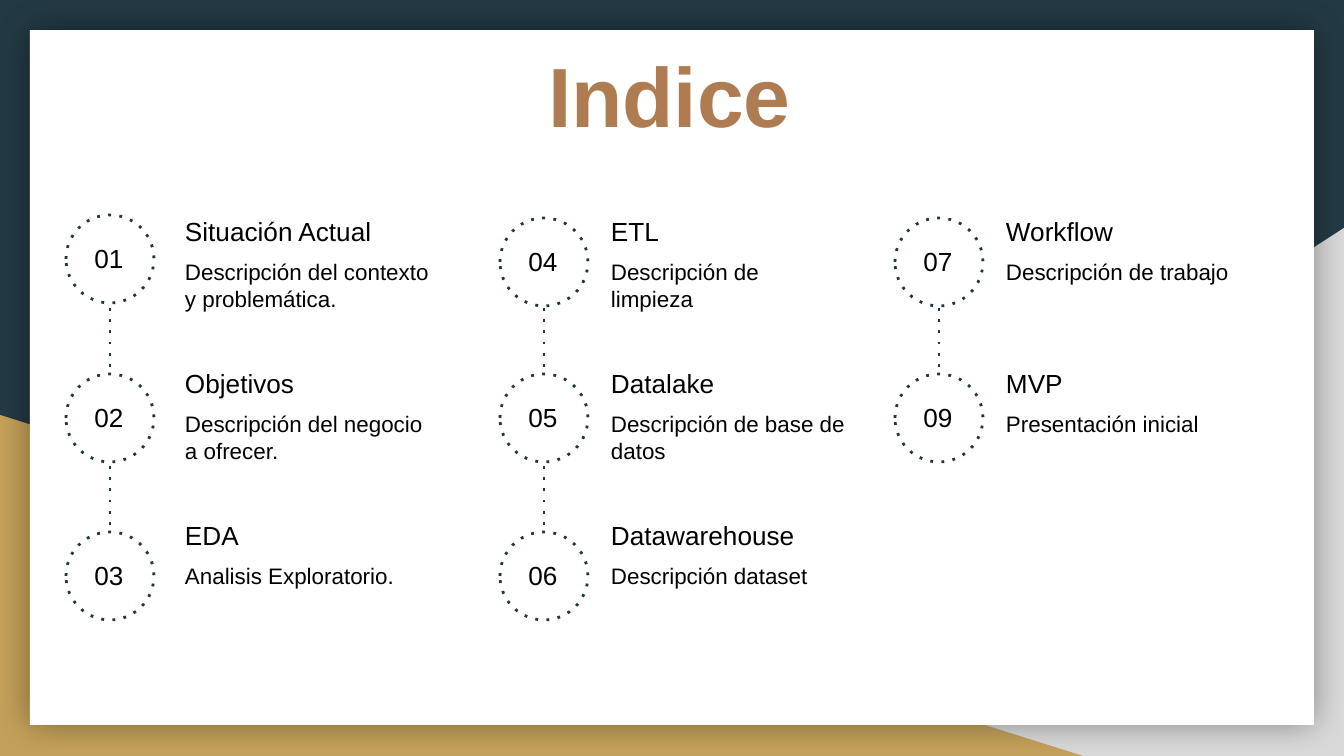
import pptx
import pptx.util
import pptx.dml.color
import pptx.enum.shapes
import pptx.enum.text
import pptx.oxml
import pptx.oxml.ns

RGB = pptx.dml.color.RGBColor
NAVY, GOLD, GRAY = RGB(0x23, 0x3A, 0x44), RGB(0xC4, 0xA1, 0x5A), RGB(0xD9, 0xD9, 0xD9)
WHITE, BLACK = RGB(0xFF, 0xFF, 0xFF), RGB(0, 0, 0)
BROWN, DOTS = RGB(0xAF, 0x7B, 0x51), RGB(0x20, 0x35, 0x3E)
SHAPE = pptx.enum.shapes.MSO_SHAPE
ALIGN, ANCHOR = pptx.enum.text.PP_ALIGN, pptx.enum.text.MSO_ANCHOR
EMU_PER_PX = 914400 / 134.4
INSET = 13
CIRCLE = 88

# Each column: circle left, text left, circle tops, entries
# Each entry: number, heading, description, description width
COLUMNS = [
    (66, 172, (215, 374, 532), [
        ("01", "Situación Actual", "Descripción del contexto y problemática.", 276),
        ("02", "Objetivos", "Descripción del negocio a ofrecer.", 267),
        ("03", "EDA", "Analisis Exploratorio.", 249)]),
    (500, 598, (218, 374, 532), [
        ("04", "ETL", "Descripción de limpieza", 249),
        ("05", "Datalake", "Descripción de base de\ndatos", 294),
        ("06", "Datawarehouse", "Descripción dataset", 273)]),
    (895, 993, (218, 374), [
        ("07", "Workflow", "Descripción de trabajo", 298),
        ("09", "MVP", "Presentación inicial", 294)]),
]


def px(n):
    return pptx.util.Emu(round(n * EMU_PER_PX))


def add_effects(s, inner=""):
    xml = f"<a:effectLst {pptx.oxml.ns.nsdecls('a')}>{inner}</a:effectLst>"
    s._element.spPr.append(pptx.oxml.parse_xml(xml))


def add_shape(slide, kind, x, y, w, h, fill=None):
    s = slide.shapes.add_shape(kind, px(x), px(y), px(w), px(h))
    if fill is None:
        s.fill.background()
    else:
        s.fill.solid()
        s.fill.fore_color.rgb = fill
        s.line.fill.background()
    return s


def set_dotted(s):
    s.line.color.rgb = DOTS
    s.line.width = pptx.util.Pt(1.5)
    xml = f"<a:prstDash {pptx.oxml.ns.nsdecls('a')} val='dot'/>"
    s.line._get_or_add_ln().append(pptx.oxml.parse_xml(xml))


def add_text(slide, text, x, y, w, h, size=14, color=BLACK, bold=False,
             align=ALIGN.LEFT, anchor=ANCHOR.TOP):
    tf = slide.shapes.add_textbox(px(x), px(y), px(w), px(h)).text_frame
    tf.word_wrap = True
    tf.vertical_anchor = anchor
    tf.margin_left = tf.margin_right = tf.margin_top = tf.margin_bottom = px(INSET)
    tf.text = text
    for p in tf.paragraphs:
        p.alignment = align
        for r in p.runs:
            r.font.name = "Arial"
            r.font.size = pptx.util.Pt(size)
            r.font.bold = bold
            r.font.color.rgb = color


def add_backdrop(slide, w, h):
    slide.background.fill.solid()
    slide.background.fill.fore_color.rgb = NAVY
    # Corner triangles
    right = add_shape(slide, SHAPE.RIGHT_TRIANGLE, w - 817, h - 528, 817, 528, GRAY)
    right._element.spPr.xfrm.set("flipH", "1")
    left = add_shape(slide, SHAPE.RIGHT_TRIANGLE, 0, h - 341, 1083, 341, GOLD)
    for s in (right, left):
        s.shadow.inherit = False
    # White card with a soft shadow
    card = add_shape(slide, SHAPE.RECTANGLE, 30, 30, w - 60, h - 60 + 0, WHITE)
    card.height = px(695)
    blur = pptx.util.Pt(18)
    add_effects(card, f'<a:outerShdw blurRad="{blur}" dist="0" dir="0" algn="ctr" rotWithShape="0">'
                      '<a:srgbClr val="000000"><a:alpha val="40000"/></a:srgbClr></a:outerShdw>')


def add_entry(slide, x, y, text_x, text_y, number, heading, description, width):
    circle = add_shape(slide, SHAPE.OVAL, x, y, CIRCLE, CIRCLE)
    circle.shadow.inherit = False
    set_dotted(circle)
    add_text(slide, number, x, y + 15, 86, 57, align=ALIGN.CENTER, anchor=ANCHOR.MIDDLE)
    add_text(slide, heading, text_x, text_y, 285, 42)
    add_text(slide, description, text_x, text_y + 43, width, 85, size=12)


def add_column(slide, x, text_x, tops, entries):
    for i, (y, entry) in enumerate(zip(tops, entries)):
        add_entry(slide, x, y, text_x, 202 + 152 * i, *entry)
    # Dotted links between the circles
    mid = px(x + CIRCLE / 2)
    for below in tops[1:]:
        s = slide.shapes.add_connector(pptx.enum.shapes.MSO_CONNECTOR.STRAIGHT,
                                       mid, px(below - 66), mid, px(below - 6))
        set_dotted(s)
        add_effects(s)


def main():
    prs = pptx.Presentation()
    prs.slide_width, prs.slide_height = px(1344), px(756)
    slide = prs.slides.add_slide(prs.slide_layouts[6])
    add_backdrop(slide, 1344, 756)
    add_text(slide, "Indice", 118, 31, 1103, 140, size=45, color=BROWN, bold=True,
             align=ALIGN.CENTER)
    for column in COLUMNS:
        add_column(slide, *column)
    prs.save("out.pptx")


if __name__ == "__main__":
    main()
